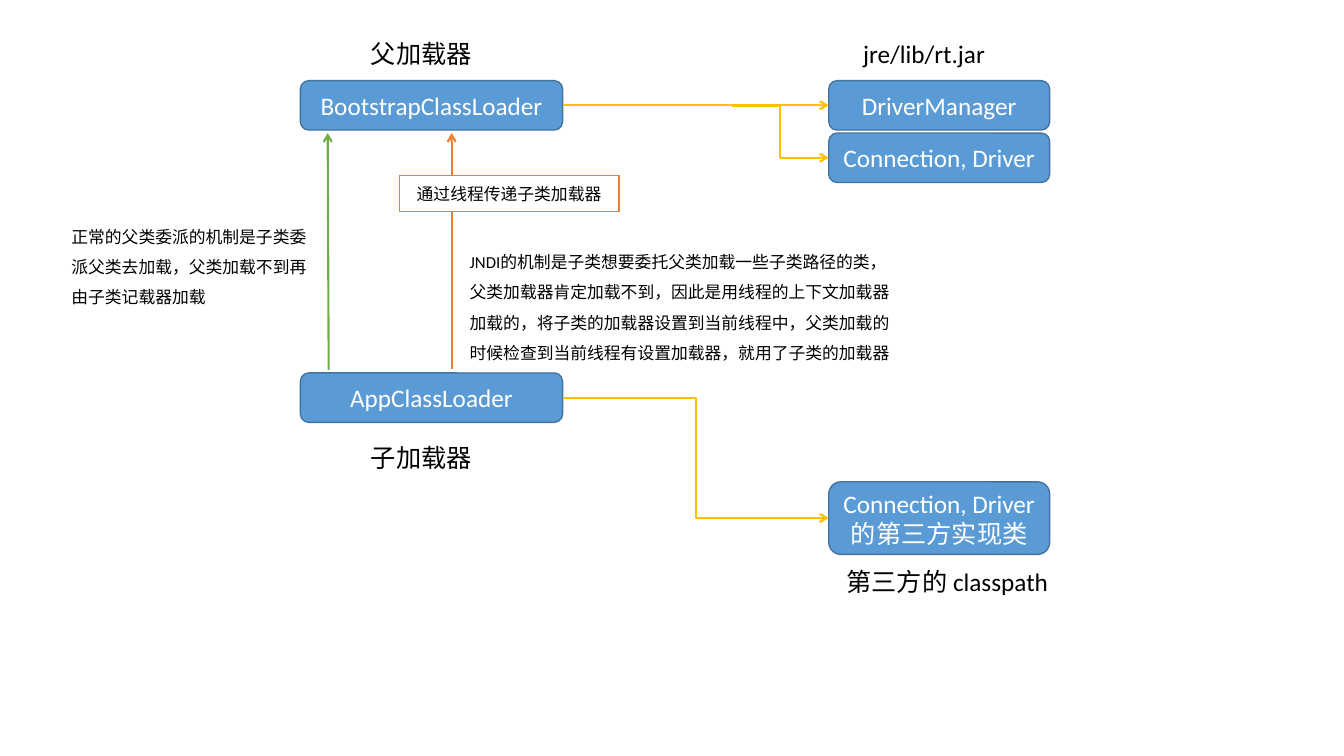
"""Build a slide that shows how class loaders delegate to each other."""
from typing import NamedTuple

from lxml import etree
from pptx import Presentation
from pptx.dml.color import RGBColor
from pptx.enum.shapes import MSO_CONNECTOR, MSO_SHAPE
from pptx.enum.text import MSO_ANCHOR, MSO_AUTO_SIZE, PP_ALIGN
from pptx.oxml.ns import qn
from pptx.util import Inches, Pt

ROUNDED, RECTANGLE = MSO_SHAPE.ROUNDED_RECTANGLE, MSO_SHAPE.RECTANGLE
STRAIGHT, ELBOW = MSO_CONNECTOR.STRAIGHT, MSO_CONNECTOR.ELBOW
LEFT, CENTER = PP_ALIGN.LEFT, PP_ALIGN.CENTER
MIDDLE, GROW = MSO_ANCHOR.MIDDLE, MSO_AUTO_SIZE.SHAPE_TO_FIT_TEXT
LEFT_SITE, RIGHT_SITE = 1, 3

FONT = "Calibri"
COLORS = {
    "white": "FFFFFF", "black": "000000", "blue": "5B9BD5", "navy": "43739E",
    "orange": "ED7D31", "green": "70AD47", "gold": "FFC000",
}
LOADER_LEFT, LOADER_WIDTH = 2.98, 2.6
CLASS_LEFT, CLASS_WIDTH = 8.22, 2.19
ROW_HEIGHT, LABEL_HEIGHT = 0.49, 0.4
PARENT_TOP, CHILD_TOP = 0.8, 3.7


class Box(NamedTuple):
    """A filled shape with centred text."""
    text: str
    left: float
    top: float
    width: float
    height: float = ROW_HEIGHT
    kind: int = ROUNDED
    fill: str = "blue"
    line: str = "navy"
    color: str = "white"
    size: int = 18


class Label(NamedTuple):
    """A plain text box."""
    text: str
    left: float
    top: float
    width: float
    height: float = LABEL_HEIGHT
    size: int = 18
    align: int = LEFT
    spacing: float = 1.0


class Arrow(NamedTuple):
    """A connector, with the boxes its ends are attached to."""
    start: tuple[float, float]
    end: tuple[float, float]
    color: str = "gold"
    kind: int = STRAIGHT
    source: str = ""
    target: str = ""


BOXES = {
    "manager": Box("DriverManager", CLASS_LEFT, PARENT_TOP, CLASS_WIDTH),
    "interfaces": Box("Connection, Driver", CLASS_LEFT, 1.32, CLASS_WIDTH),
    "parent": Box("BootstrapClassLoader", LOADER_LEFT, PARENT_TOP, LOADER_WIDTH),
    "child": Box("AppClassLoader", LOADER_LEFT, CHILD_TOP, LOADER_WIDTH),
    "vendor": Box("Connection, Driver 的第三方实现类", CLASS_LEFT, 4.78, CLASS_WIDTH, 0.72),
}
THREAD_BOX = Box("通过线程传递子类加载器", 3.96, 1.74, 2.18, 0.36, RECTANGLE,
                 "white", "orange", "black", 12)
LABELS = [
    Label("jre/lib/rt.jar", 8.37, 0.33, 1.59, align=CENTER),
    Label("第三方的 classpath", CLASS_LEFT, 5.57, 2.35, align=CENTER),
    Label("父加载器", 3.58, 0.33, 1.4),
    Label("子加载器", 3.58, 4.34, 1.4),
    Label("正常的父类委派的机制是子类委派父类去加载，父类加载不到再由子类记载器加载",
          0.61, 2.1, 2.54, 1.01, size=12, spacing=1.5),
    Label("JNDI的机制是子类想要委托父类加载一些子类路径的类，"
          "父类加载器肯定加载不到，因此是用线程的上下文加载器加载的，"
          "将子类的加载器设置到当前线程中，父类加载的时候检查到当前线程有设置加载器，"
          "就用了子类的加载器", 4.56, 2.35, 4.49, 1.31, size=12, spacing=1.5),
]
ARROWS = [
    Arrow((4.48, 3.66), (4.48, 1.32), "orange"),
    Arrow((3.26, 3.67), (3.25, 1.32), "green"),
    Arrow((5.58, 1.05), (8.22, 1.05), source="parent", target="manager"),
    Arrow((7.26, 1.05), (8.22, 1.57), kind=ELBOW, target="interfaces"),
    Arrow((5.58, 3.94), (8.22, 5.14), kind=ELBOW, source="child", target="vendor"),
]


def rgb(name: str) -> RGBColor:
    """Look up a colour by name."""
    return RGBColor.from_string(COLORS[name])


def write(frame, text: str, *, size: int, color: str, align: int, spacing: float = 1.0) -> None:
    """Fill a text frame with one formatted paragraph."""
    frame.word_wrap = True
    para = frame.paragraphs[0]
    para.alignment = align
    para.line_spacing = spacing
    span = para.add_run()
    span.text = text
    span.font.name = FONT
    span.font.size = Pt(size)
    span.font.color.rgb = rgb(color)


def draw_box(page, box: Box):
    """Draw a filled shape and return it."""
    shape = page.shapes.add_shape(box.kind, Inches(box.left), Inches(box.top),
                                  Inches(box.width), Inches(box.height))
    shape.shadow.inherit = False
    shape.fill.solid()
    shape.fill.fore_color.rgb = rgb(box.fill)
    shape.line.color.rgb = rgb(box.line)
    shape.line.width = Pt(1)
    shape.text_frame.vertical_anchor = MIDDLE
    write(shape.text_frame, box.text, size=box.size, color=box.color, align=CENTER)
    return shape


def draw_label(page, label: Label) -> None:
    """Draw a text box that grows with its text."""
    shape = page.shapes.add_textbox(Inches(label.left), Inches(label.top),
                                    Inches(label.width), Inches(label.height))
    shape.text_frame.auto_size = GROW
    write(shape.text_frame, label.text, size=label.size, color="black",
          align=label.align, spacing=label.spacing)


def draw_arrow(page, arrow: Arrow, shapes: dict) -> None:
    """Draw a connector with an open arrowhead at its end."""
    points = [Inches(value) for value in arrow.start + arrow.end]
    connector = page.shapes.add_connector(arrow.kind, *points)
    if arrow.source:
        connector.begin_connect(shapes[arrow.source], RIGHT_SITE)
    if arrow.target:
        connector.end_connect(shapes[arrow.target], LEFT_SITE)
    connector.line.color.rgb = rgb(arrow.color)
    connector.line.width = Pt(1.5)
    properties = connector._element.spPr
    etree.SubElement(properties.find(qn("a:ln")), qn("a:tailEnd"), type="arrow")
    etree.SubElement(properties, qn("a:effectLst"))


def main() -> None:
    """Draw the slide and save the deck."""
    deck = Presentation()
    deck.slide_width, deck.slide_height = Inches(13.33), Inches(7.5)
    page = deck.slides.add_slide(deck.slide_layouts[6])
    shapes = {name: draw_box(page, box) for name, box in BOXES.items()}
    for label in LABELS:
        draw_label(page, label)
    for arrow in ARROWS:
        draw_arrow(page, arrow, shapes)
    draw_box(page, THREAD_BOX)
    deck.save("out.pptx")


main()
